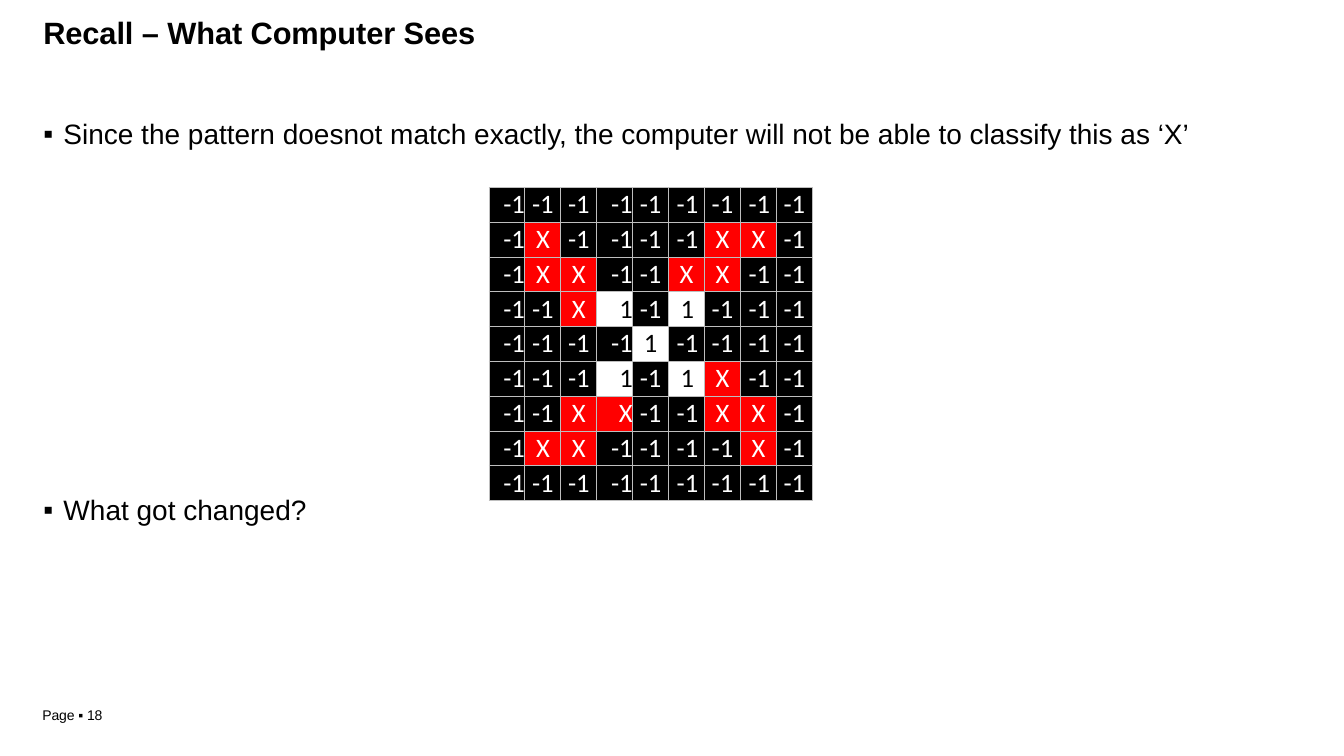
from lxml import etree
from pptx import Presentation
from pptx.dml.color import RGBColor
from pptx.enum import text as t
from pptx.oxml import ns
from pptx.util import Inches, Pt

HUES = {"black": "000000", "white": "FFFFFF", "red": "FF0000", "grid": "BEBEBE"}
LEFT, MID, RIGHT = t.PP_ALIGN.LEFT, t.PP_ALIGN.CENTER, t.PP_ALIGN.RIGHT


def sub(node, tag, **attrs):
    return etree.SubElement(node, ns.qn(tag), **attrs)


def write(frame, words, size, font="Arial", hue="black", bold=False,
          align=LEFT, indent=0, bullet=None, track=0):
    para = frame.paragraphs[0]
    props = para._p.get_or_add_pPr()
    props.set("marL", str(Inches(indent)))
    if bullet:
        props.set("indent", str(Inches(-0.2)))
        sub(props, "a:buFont", typeface="Arial")
        sub(props, "a:buChar", char=bullet)
        tabs = sub(props, "a:tabLst")
        sub(tabs, "a:tab", pos=str(Inches(indent)), algn="l")
    para.alignment = align
    run = para.add_run()
    run.text = words
    run.font.size, run.font.name, run.font.bold = Pt(size), font, bold
    run.font.color.rgb = RGBColor.from_string(HUES[hue])
    if track:
        run.font._element.set("spc", str(track))


deck = Presentation()
deck.slide_width, deck.slide_height = Inches(13.33), Inches(7.5)
slide = deck.slides.add_slide(deck.slide_layouts[6])

# Pixel grid: "-" is -1, "1" is a match, "X" is a changed pixel
GRID = """
---------
-X----XX-
-XX--XX--
--X1-1---
----1----
---1-1X--
--XX--XX-
-XX----X-
---------
""".split()
ALIGN = [RIGHT, MID, MID, RIGHT, MID, LEFT, MID, LEFT, MID]
LOOK = {  # text, fill, ink, indent in left-aligned cells
    "-": ("-1", "black", "white", 0.08),
    "1": ("1", None, "black", 0.12),
    "X": ("X", "red", "white", 0.11),
}
count = len(GRID)
table = slide.shapes.add_table(count, count, Inches(4.85), Inches(1.86),
                               Inches(3.21), Inches(3.11)).table
table.first_row = table.horz_banding = False
for i in range(count):
    table.columns[i].width = int(Inches(3.21) / count)
    table.rows[i].height = int(Inches(3.11) / count)

for r, line in enumerate(GRID):
    for c, mark in enumerate(line):
        words, fill, ink, inset = LOOK[mark]
        cell = table.cell(r, c)
        cell.margin_left = cell.margin_right = cell.margin_bottom = 0
        cell.margin_top = Inches(0.01)
        write(cell.text_frame, words, 19, font="Calibri", hue=ink,
              align=ALIGN[c], indent=inset if ALIGN[c] == LEFT else 0)
        # Borders, a little heavier after the seventh column and row
        heavy = {"L": c == 7, "R": c == 6, "T": r == 7, "B": r == 6}
        props = cell._tc.get_or_add_tcPr()
        for side, thick in heavy.items():
            edge = sub(props, "a:ln" + side, w=str(Pt(1 if thick else 0.75)))
            paint = sub(edge, "a:solidFill")
            sub(paint, "a:srgbClr", val=HUES["grid"])
        if fill:
            cell.fill.solid()
            cell.fill.fore_color.rgb = RGBColor.from_string(HUES[fill])
        else:
            cell.fill.background()

# Title, bullets and page number
BULLET = dict(size=20, bullet="▪", indent=0.21)
TEXTS = [
    (0.42, 0.12, 4.5, 0.38, 0.02, "Recall – What Computer Sees",
     dict(size=22, bold=True, indent=0.01, track=-5)),
    (0.42, 1.14, 11.6, 0.35, 0.02,
     "Since the pattern doesnot match exactly, the computer will not be able "
     "to classify this as ‘X’", dict(BULLET, track=-3)),
    (0.42, 4.87, 2.64, 0.35, 0.02, "What got changed?", BULLET),
    (0.41, 7.01, 0.75, 0.17, 0, "Page ▪ 18",
     dict(size=10, indent=0.01, track=-5)),
]
for x, y, w, h, top, words, style in TEXTS:
    box = slide.shapes.add_textbox(Inches(x), Inches(y), Inches(w), Inches(h))
    frame = box.text_frame
    frame.word_wrap = True
    frame.margin_left = frame.margin_right = frame.margin_bottom = 0
    frame.margin_top = Inches(top)
    write(frame, words, **style)

deck.save("out.pptx")
